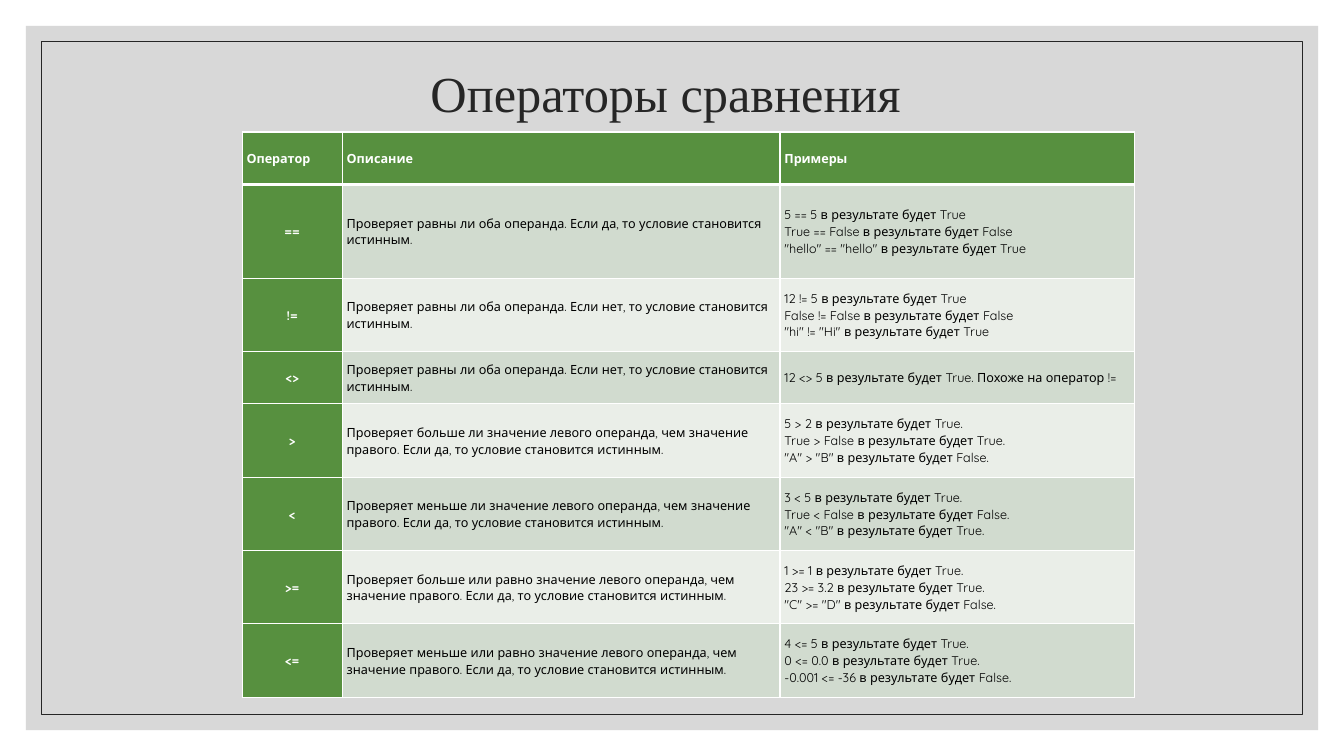
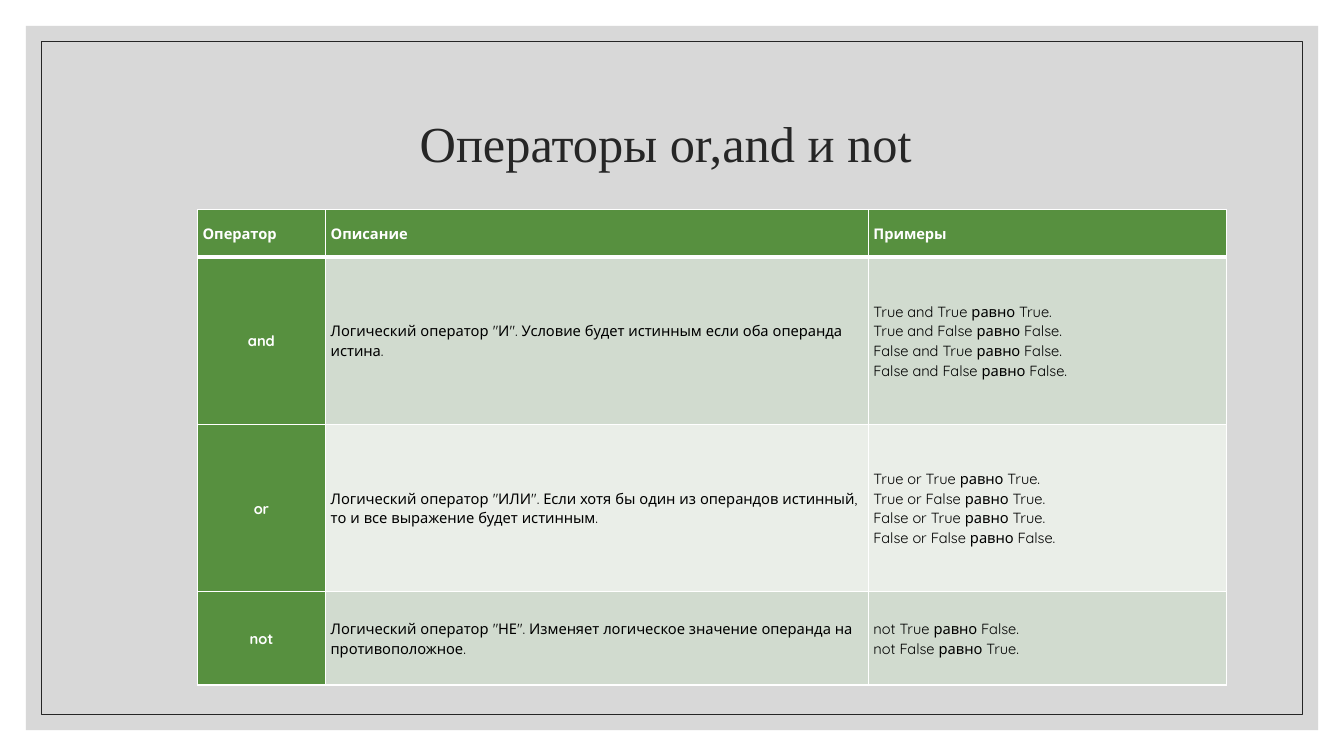
import pptx
import pptx.dml.color
import pptx.enum.shapes
import pptx.enum.text
import pptx.oxml
import pptx.oxml.ns
import pptx.util
from lxml import etree

Pt = pptx.util.Pt
RGBColor = pptx.dml.color.RGBColor
PP_ALIGN = pptx.enum.text.PP_ALIGN
MIDDLE = pptx.enum.text.MSO_ANCHOR.MIDDLE

SLIDE_WIDTH, SLIDE_HEIGHT = 960, 540
TITLE_FONT, TABLE_FONT = "Times New Roman", "Quicksand"
PANEL_GRAY = RGBColor(0xBF, 0xBF, 0xBF)
DARK = RGBColor(0x26, 0x26, 0x26)
BLACK = RGBColor(0x00, 0x00, 0x00)
WHITE = RGBColor(0xFF, 0xFF, 0xFF)
GREEN = RGBColor(0x57, 0x90, 0x3F)
BANDS = (RGBColor(0xD1, 0xDB, 0xCF), RGBColor(0xEA, 0xEE, 0xE8))

HEADER = ("Оператор", "Описание", "Примеры")
NOT_EQUAL = "Проверяет равны ли оба операнда. Если нет, то условие становится истинным."
COMPARISON_ROWS = (
    ("==", "Проверяет равны ли оба операнда. Если да, то условие становится истинным.",
     '5 == 5 в результате будет True\nTrue == False в результате будет False\n'
     '"hello" == "hello" в результате будет True'),
    ("!=", NOT_EQUAL,
     '12 != 5 в результате будет True\nFalse != False в результате будет False\n'
     '"hi" != "Hi" в результате будет True'),
    ("<>", NOT_EQUAL, "12 <> 5 в результате будет True. Похоже на оператор !="),
    (">", "Проверяет больше ли значение левого операнда, чем значение правого. "
     "Если да, то условие становится истинным.",
     '5 > 2 в результате будет True.\nTrue > False в результате будет True.\n'
     '"A" > "B" в результате будет False.'),
    ("<", "Проверяет меньше ли значение левого операнда, чем значение правого. "
     "Если да, то условие становится истинным.",
     '3 < 5 в результате будет True.\nTrue < False в результате будет False.\n'
     '"A" < "B" в результате будет True.'),
    (">=", "Проверяет больше или равно значение левого операнда, чем значение правого. "
     "Если да, то условие становится истинным.",
     '1 >= 1 в результате будет True.\n23 >= 3.2 в результате будет True.\n'
     '"C" >= "D" в результате будет False.'),
    ("<=", "Проверяет меньше или равно значение левого операнда, чем значение правого. "
     "Если да, то условие становится истинным.",
     "4 <= 5 в результате будет True.\n0 <= 0.0 в результате будет True.\n"
     "-0.001 <= -36 в результате будет False."),
)
LOGIC_ROWS = (
    ("and", 'Логический оператор "И". Условие будет истинным если оба операнда истина.',
     "True and True равно True.\nTrue and False равно False.\n"
     "False and True равно False.\nFalse and False равно False."),
    ("or", 'Логический оператор "ИЛИ". Если хотя бы один из операндов истинный, '
     "то и все выражение будет истинным.",
     "True or True равно True.\nTrue or False равно True.\n"
     "False or True равно True.\nFalse or False равно False."),
    ("not", 'Логический оператор "НЕ". Изменяет логическое значение операнда на противоположное.',
     "not True равно False.\nnot False равно True."),
)


def add_inset_rectangle(slide, inset):
    """Add a rectangle that keeps the same distance from all slide edges."""
    shape = slide.shapes.add_shape(
        pptx.enum.shapes.MSO_SHAPE.RECTANGLE, Pt(inset), Pt(inset),
        Pt(SLIDE_WIDTH - 2 * inset), Pt(SLIDE_HEIGHT - 2 * inset))
    shape.shadow.inherit = False
    return shape


def add_frame(slide):
    panel = add_inset_rectangle(slide, 18.5)
    panel.fill.solid()
    panel.fill.fore_color.rgb = PANEL_GRAY
    panel.line.fill.background()
    color = panel.fill._xPr.find(".//" + pptx.oxml.ns.qn("a:srgbClr"))
    etree.SubElement(color, pptx.oxml.ns.qn("a:alpha"), val="60000")

    outline = add_inset_rectangle(slide, 29.5)
    outline.fill.background()
    outline.line.color.rgb = DARK
    outline.line.width = Pt(0.5)


def add_text(paragraph, text, font_name, size, color, bold=False):
    """Add one run per line, with line breaks between them."""
    for index, line in enumerate(text.split("\n")):
        if index:
            paragraph.add_line_break()
        run = paragraph.add_run()
        run.text = line
        run.font.name = font_name
        run.font.size = Pt(size)
        run.font.color.rgb = color
        run.font.bold = bold


def add_title(slide, text, top):
    box = slide.shapes.add_textbox(Pt(79.5), Pt(top), Pt(792), Pt(108))
    frame = box.text_frame
    frame.word_wrap = True
    frame.vertical_anchor = MIDDLE
    paragraph = frame.paragraphs[0]
    paragraph.alignment = PP_ALIGN.CENTER
    paragraph.line_spacing = 0.9
    add_text(paragraph, text, TITLE_FONT, 36, DARK)


def set_borders(cell, top, bottom):
    properties = cell._tc.get_or_add_tcPr()
    for side, width in (("L", 1), ("R", 1), ("T", top), ("B", bottom)):
        properties.append(pptx.oxml.parse_xml(
            f'<a:ln{side} {pptx.oxml.ns.nsdecls("a")} w="{Pt(width)}">'
            f'<a:solidFill><a:srgbClr val="{WHITE}"/></a:solidFill></a:ln{side}>'))


def fill_cell(cell, text, row, column, size, margin):
    is_heading = row == 0 or column == 0
    set_borders(cell, top=3 if row == 1 else 1, bottom=3 if row == 0 else 1)
    cell.fill.solid()
    cell.fill.fore_color.rgb = GREEN if is_heading else BANDS[(row - 1) % 2]
    cell.vertical_anchor = MIDDLE
    cell.margin_left = cell.margin_right = Pt(margin)
    cell.margin_top = cell.margin_bottom = Pt(margin)
    paragraph = cell.text_frame.paragraphs[0]
    paragraph.alignment = PP_ALIGN.CENTER if row and column == 0 else PP_ALIGN.LEFT
    paragraph.line_spacing = 1.07
    paragraph.space_after = Pt(8)
    add_text(paragraph, text, TABLE_FONT, size, WHITE if is_heading else BLACK, is_heading)


def add_operator_table(slide, rows, left, top, widths, heights, size, margin):
    table = slide.shapes.add_table(
        len(heights), len(widths), Pt(left), Pt(top),
        Pt(sum(widths)), Pt(sum(heights))).table
    for column, width in zip(table.columns, widths):
        column.width = Pt(width)
    for row, height in zip(table.rows, heights):
        row.height = Pt(height)
    for row_index, texts in enumerate((HEADER, *rows)):
        for column_index, text in enumerate(texts):
            fill_cell(table.cell(row_index, column_index), text,
                      row_index, column_index, size, margin)


def add_operator_slide(presentation, title, title_top, **table_options):
    slide = presentation.slides.add_slide(presentation.slide_layouts[6])
    add_frame(slide)
    add_title(slide, title, title_top)
    add_operator_table(slide, **table_options)


def main():
    presentation = pptx.Presentation()
    presentation.slide_width = Pt(SLIDE_WIDTH)
    presentation.slide_height = Pt(SLIDE_HEIGHT)
    add_operator_slide(
        presentation, "Операторы сравнения", 15, rows=COMPARISON_ROWS,
        left=173, top=94.3, widths=(71.5, 312.7, 253.5),
        heights=(37.4, 67, 52.4, 37.4, *[52.4] * 4), size=9, margin=3.1)
    add_operator_slide(
        presentation, "Операторы or,and и not", 50.5, rows=LOGIC_ROWS,
        left=141, top=149.6, widths=(91.5, 387.7, 255.8),
        heights=(33.9, 119.6, 119.6, 66.6), size=10.5, margin=3.75)
    presentation.save("out.pptx")


if __name__ == "__main__":
    main()
